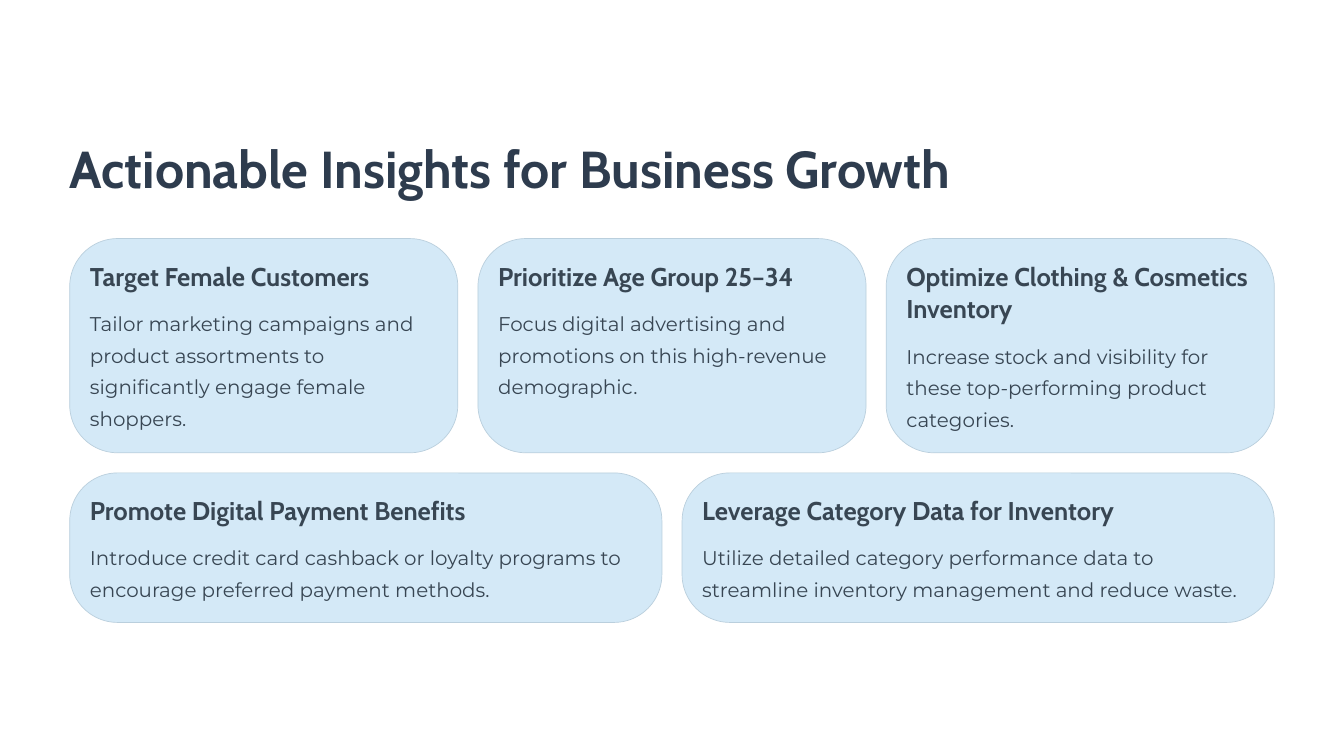
import pptx
import pptx.dml.color
import pptx.enum.shapes
import pptx.enum.text
import pptx.util

HUES = {"title": "2E3C4E", "text": "384653", "card": "D4E9F7", "edge": "BACFDD"}
# Font, size, bold, line pitch in points, colour
STYLES = {
    "title": ("Cabin", 44.5, True, 56, "title"),
    "head": ("Cabin", 22, True, 28, "text"),
    "body": ("Montserrat", 17, False, 27, "text"),
}
WIDE, HIGH = 16, 9
SIDE, GAP, PAD = 0.83, 0.24, 0.24
ROUND = 0.57


def hue(name):
    return pptx.dml.color.RGBColor.from_string(HUES[name])


class Deck:
    def __init__(self):
        self.file = pptx.Presentation()
        self.file.slide_width = pptx.util.Inches(WIDE)
        self.file.slide_height = pptx.util.Inches(HIGH)
        self.page = self.file.slides.add_slide(self.file.slide_layouts[6])

    def place(self, *box):
        return [pptx.util.Inches(n) for n in box]

    def cell(self, col, count):
        """Left edge and width of one of count equal columns."""
        width = (WIDE - 2 * SIDE - GAP * (count - 1)) / count
        return SIDE + col * (width + GAP), width

    def text(self, words, style, left, top, width, height):
        font, size, bold, pitch, tint = STYLES[style]
        box = self.page.shapes.add_textbox(*self.place(left, top, width, height))
        frame = box.text_frame
        frame.word_wrap = True
        frame.auto_size = pptx.enum.text.MSO_AUTO_SIZE.NONE
        frame.margin_left = frame.margin_right = 0
        frame.margin_top = frame.margin_bottom = 0
        line = frame.paragraphs[0]
        line.text = words
        line.line_spacing = pptx.util.Pt(pitch)
        line.font.name = font
        line.font.size = pptx.util.Pt(size)
        line.font.bold = bold
        line.font.color.rgb = hue(tint)

    def panel(self, left, top, width, height):
        kind = pptx.enum.shapes.MSO_SHAPE.ROUNDED_RECTANGLE
        shape = self.page.shapes.add_shape(kind, *self.place(left, top, width, height))
        shape.adjustments[0] = ROUND / height
        shape.shadow.inherit = False
        shape.fill.solid()
        shape.fill.fore_color.rgb = hue("card")
        shape.line.color.rgb = hue("edge")
        shape.line.width = pptx.util.Pt(0.6)

    def card(self, col, count, top, height, head, body, lines=1):
        left, width = self.cell(col, count)
        self.panel(left, top, width, height)
        inner = width - 2 * PAD
        rise = 0.39 * lines
        self.text(head, "head", left + PAD, top + PAD, inner, rise)
        start = top + PAD + rise + 0.15
        self.text(body, "body", left + PAD, start, inner, top + height - PAD - start)


def main():
    deck = Deck()

    # Title
    deck.text("Actionable Insights for Business Growth", "title", SIDE, 1.59, 11.02, 0.78)

    # Rows of cards: height, then heading, body and heading lines
    rows = [
        (2.55, [
            ("Target Female Customers",
             "Tailor marketing campaigns and product assortments to "
             "significantly engage female shoppers."),
            ("Prioritize Age Group 25–34",
             "Focus digital advertising and promotions on this "
             "high-revenue demographic."),
            ("Optimize Clothing & Cosmetics Inventory",
             "Increase stock and visibility for these top-performing "
             "product categories.", 2),
        ]),
        (1.78, [
            ("Promote Digital Payment Benefits",
             "Introduce credit card cashback or loyalty programs to "
             "encourage preferred payment methods."),
            ("Leverage Category Data for Inventory",
             "Utilize detailed category performance data to streamline "
             "inventory management and reduce waste."),
        ]),
    ]
    top = 2.84
    for height, cards in rows:
        for col, card in enumerate(cards):
            deck.card(col, len(cards), top, height, *card)
        top += height + GAP

    deck.file.save("out.pptx")


if __name__ == "__main__":
    main()
